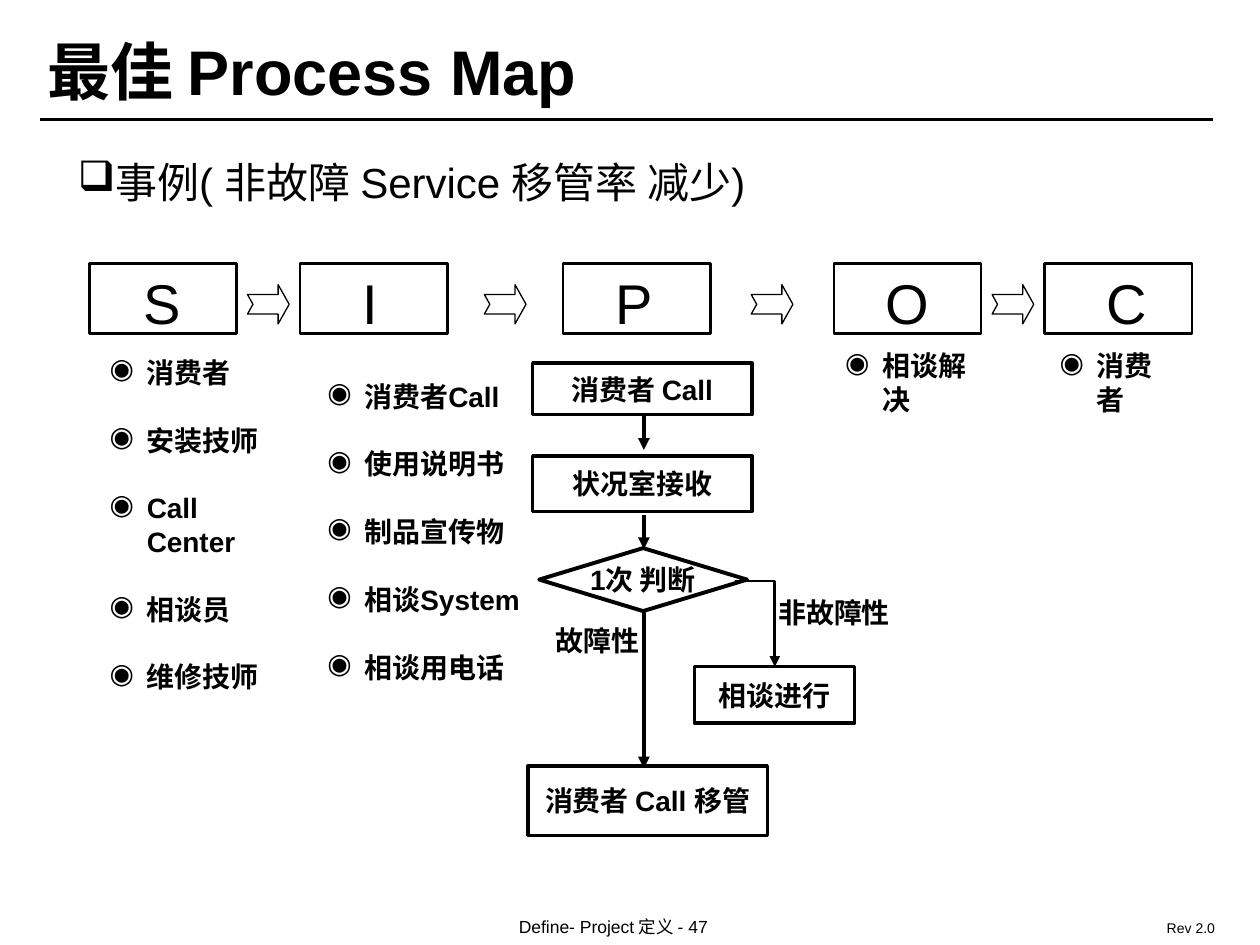
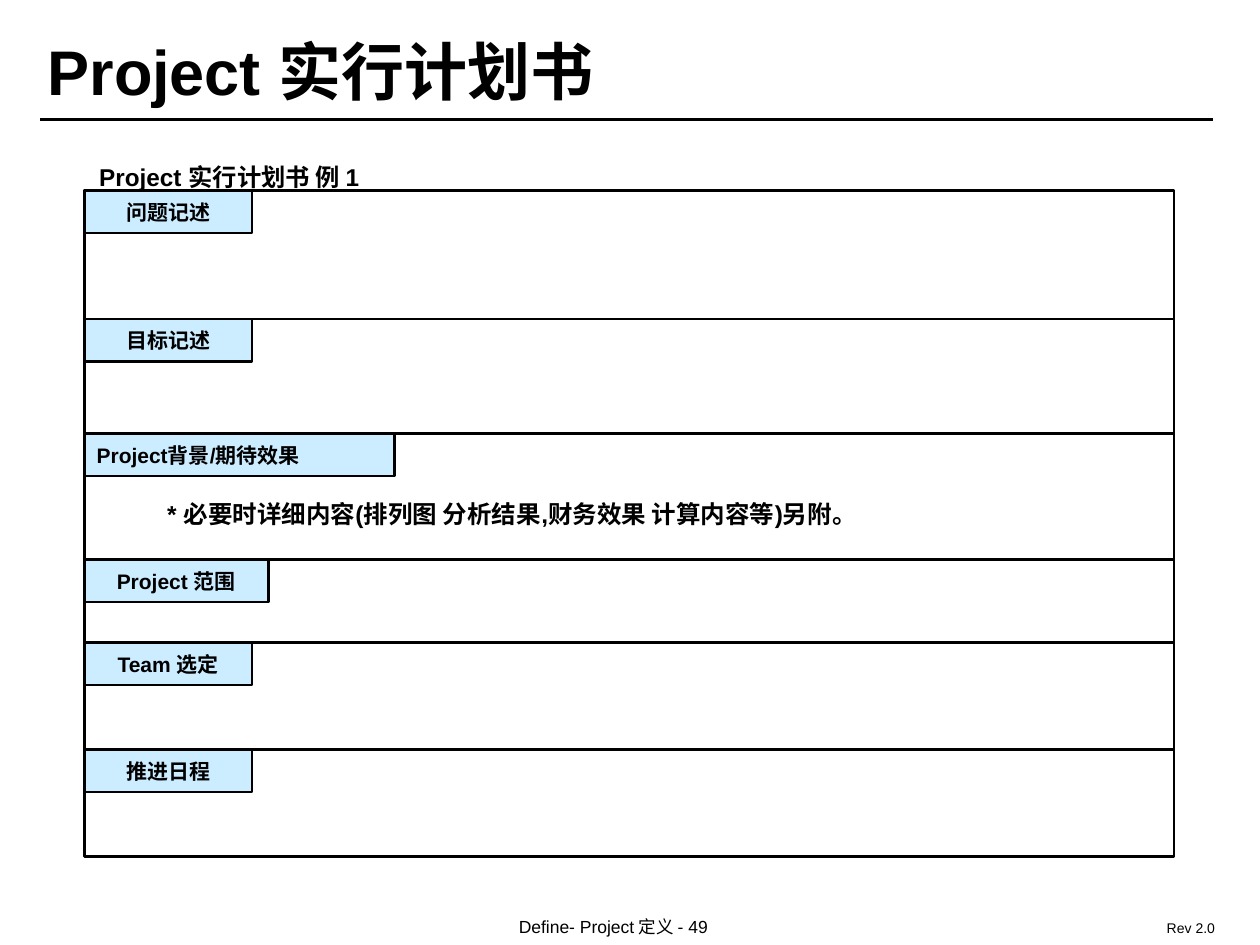
import pptx
import pptx.util
import pptx.dml.color
import pptx.enum.shapes
import pptx.enum.text
import pptx.oxml.ns
from lxml import etree

Cm = pptx.util.Cm
Pt = pptx.util.Pt
SHAPE = pptx.enum.shapes.MSO_SHAPE
ALIGN = pptx.enum.text.PP_ALIGN
ANCHOR = pptx.enum.text.MSO_ANCHOR

COLORS = {"ink": "000000", "paper": "FFFFFF", "label": "CCECFF"}
FONT = "Arial"
BULLET_INDENT = 0.75

MAP_TITLE = "最佳 Process Map"
MAP_HEADING = "事例( 非故障 Service 移管率 减少)"
STAGE_TOP, STAGE_WIDTH, STAGE_HEIGHT = 5.31, 2.97, 1.42
STAGES = [
    ("S", 1.8, 3.28),
    ("I", 6.05, 7.47),
    ("P", 11.35, 12.79),
    ("O", 16.81, 18.29),
    ("C", 21.06, 22.72),
]
STAGE_LISTS = [
    (1.96, 7.04, 3.84, ["消费者", "安装技师", "Call Center", "相谈员", "维修技师"]),
    (6.35, 7.52, 5, ["消费者Call", "使用说明书", "制品宣传物", "相谈System", "相谈用电话"]),
    (16.79, 6.91, 3.12, ["相谈解决"]),
    (21.11, 6.91, 2.57, ["消费者"]),
]
FLOW_STEPS = [
    ("消费者 Call", SHAPE.RECTANGLE, (10.74, 7.32, 4.42, 1.04), 2),
    ("状况室接收", SHAPE.RECTANGLE, (10.74, 9.19, 4.42, 1.12), 2),
    ("1次 判断", SHAPE.DIAMOND, (10.87, 11.05, 4.19, 1.27), 2.25),
    ("相谈进行", SHAPE.RECTANGLE, (14, 13.44, 3.23, 1.14), 2),
    ("消费者 Call 移管", SHAPE.RECTANGLE, (10.64, 15.44, 4.83, 1.4), 2),
]
FLOW_X = 12.98
FLOW_ARROWS = [(8.38, 9.07), (10.39, 11.07), (12.29, 15.49)]
BRANCH = [(14.81, 11.71), (15.62, 11.71), (15.62, 13.44)]
BRANCH_LABELS = [
    ("故障性", (10.95, 12.45, 2.36, 0.99)),
    ("非故障性", (15.44, 11.89, 2.9, 0.99)),
]

PLAN_TITLE = "Project 实行计划书"
PLAN_HEADING = "Project 实行计划书 例 1"
PLAN_NOTE = "* 必要时详细内容(排列图 分析结果,财务效果 计算内容等)另附。"
PLAN_LEFT, PLAN_WIDTH, PLAN_BOTTOM, LABEL_HEIGHT = 1.7, 21.97, 17.27, 0.86
PLAN_SECTIONS = [
    ("问题记述", 3.84, 3.38, ALIGN.CENTER),
    ("目标记述", 6.43, 3.38, ALIGN.CENTER),
    ("Project背景/期待效果", 8.74, 6.25, ALIGN.LEFT),
    ("Project 范围", 11.28, 3.71, ALIGN.CENTER),
    ("Team 选定", 12.95, 3.38, ALIGN.CENTER),
    ("推进日程", 15.11, 3.38, ALIGN.CENTER),
]


def color(name):
    return pptx.dml.color.RGBColor.from_string(COLORS[name])


def add_bullet(paragraph, character):
    properties = paragraph._p.get_or_add_pPr()
    properties.set("marL", str(Cm(BULLET_INDENT)))
    properties.set("indent", str(-Cm(BULLET_INDENT)))
    bullet = etree.SubElement(properties, pptx.oxml.ns.qn("a:buChar"))
    bullet.set("char", character)


def write(shape, lines, size, bold=False, align=ALIGN.LEFT, anchor=ANCHOR.TOP,
          wrap=True, bullet=None, gap=0):
    frame = shape.text_frame
    frame.word_wrap = wrap
    frame.vertical_anchor = anchor
    for index, line in enumerate(lines):
        paragraph = frame.add_paragraph() if index else frame.paragraphs[0]
        paragraph.text = line
        if bullet:
            add_bullet(paragraph, bullet)
        paragraph.alignment = align
        if index and gap:
            paragraph.space_before = Pt(gap)
        paragraph.font.name = FONT
        paragraph.font.size = Pt(size)
        paragraph.font.bold = bold
        paragraph.font.color.rgb = color("ink")


def add_text(slide, box, lines, size, **style):
    shape = slide.shapes.add_textbox(*map(Cm, box))
    write(shape, lines, size, **style)
    return shape


def outline(shape, width, fill=None):
    shape.shadow.inherit = False
    if fill:
        shape.fill.solid()
        shape.fill.fore_color.rgb = color(fill)
    else:
        shape.fill.background()
    shape.line.color.rgb = color("ink")
    shape.line.width = Pt(width)


def add_outlined(slide, kind, box, width, fill=None):
    shape = slide.shapes.add_shape(kind, *map(Cm, box))
    outline(shape, width, fill)
    return shape


def add_arrowhead(shape):
    tail = etree.SubElement(shape.line._get_or_add_ln(), pptx.oxml.ns.qn("a:tailEnd"))
    tail.set("type", "triangle")


def add_line(slide, start, end, width):
    line = slide.shapes.add_connector(
        pptx.enum.shapes.MSO_CONNECTOR.STRAIGHT, *map(Cm, start + end))
    line.line.color.rgb = color("ink")
    line.line.width = Pt(width)
    etree.SubElement(line._element.spPr, pptx.oxml.ns.qn("a:effectLst"))
    return line


def add_slide(presentation, title, number):
    slide = presentation.slides.add_slide(presentation.slide_layouts[6])
    add_text(slide, (10.21, 18.34, 5.8, 0.74), [f"Define- Project 定义 - {number}"], 10)
    add_text(slide, (23.27, 18.42, 2.06, 0.6), ["Rev 2.0"], 8)
    add_line(slide, (0.81, 2.41), (24.46, 2.41), 1.5)
    add_text(slide, (0.71, 0.5, 20, 1.82), [title], 36, bold=True, anchor=ANCHOR.MIDDLE)
    return slide


def add_stages(slide):
    for letter, left, center in STAGES:
        add_outlined(slide, SHAPE.RECTANGLE,
                     (left, STAGE_TOP, STAGE_WIDTH, STAGE_HEIGHT), 1.5, "paper")
        add_text(slide, (center - 0.8, 5.32, 1.6, 1.55), [letter], 32,
                 align=ALIGN.CENTER, anchor=ANCHOR.MIDDLE)
    for (_, left, _), (_, next_left, _) in zip(STAGES, STAGES[1:]):
        middle = (left + STAGE_WIDTH + next_left) / 2
        arrow = add_outlined(slide, SHAPE.NOTCHED_RIGHT_ARROW,
                             (middle - 0.42, 5.74, 0.84, 0.79), 0.75)
        arrow.adjustments[0] = 0.5
        arrow.adjustments[1] = 0.28
    for left, top, width, items in STAGE_LISTS:
        add_text(slide, (left, top, width, 1.4 * len(items)), items, 16,
                 bold=True, bullet="◉", gap=19.5)


def add_flow(slide):
    for start, end in FLOW_ARROWS:
        add_arrowhead(add_line(slide, (FLOW_X, start), (FLOW_X, end), 2.25))
    for text, kind, box, width in FLOW_STEPS:
        step = add_outlined(slide, kind, box, width, "paper")
        write(step, [text], 16, bold=True, align=ALIGN.CENTER,
              anchor=ANCHOR.MIDDLE, wrap=False)
    points = [(Cm(x), Cm(y)) for x, y in BRANCH]
    builder = slide.shapes.build_freeform(*points[0])
    builder.add_line_segments(points[1:], close=False)
    branch = builder.convert_to_shape()
    outline(branch, 1.5)
    add_arrowhead(branch)
    for text, box in BRANCH_LABELS:
        add_text(slide, box, [text], 16, bold=True)


def build_process_map(presentation):
    slide = add_slide(presentation, MAP_TITLE, 47)
    add_text(slide, (1.32, 2.97, 23.39, 1.37), [MAP_HEADING], 24,
             anchor=ANCHOR.MIDDLE, bullet="❑")
    add_stages(slide)
    add_flow(slide)


def build_project_plan(presentation):
    slide = add_slide(presentation, PLAN_TITLE, 49)
    heading = add_text(slide, (1.75, 2.51, 9.7, 1.83), [PLAN_HEADING], 24,
                       bold=True, anchor=ANCHOR.MIDDLE)
    paragraph = heading.text_frame.paragraphs[0]
    paragraph.line_spacing = 1.5
    paragraph.runs[0]._r.get_or_add_rPr().set("baseline", "30000")
    bottoms = [section[1] for section in PLAN_SECTIONS[1:]] + [PLAN_BOTTOM]
    for (text, top, label_width, align), bottom in zip(PLAN_SECTIONS, bottoms):
        add_outlined(slide, SHAPE.RECTANGLE,
                     (PLAN_LEFT, top, PLAN_WIDTH, bottom - top), 1.5)
        label = add_outlined(slide, SHAPE.RECTANGLE,
                             (PLAN_LEFT, top, label_width, LABEL_HEIGHT), 1.5, "label")
        write(label, [text], 12, bold=True, align=align, anchor=ANCHOR.MIDDLE)
    add_line(slide, (PLAN_LEFT, 11.2), (PLAN_LEFT, 12.06), 1.5)
    add_text(slide, (3.12, 9.93, 19.86, 0.91), [PLAN_NOTE], 14, bold=True)


def main():
    presentation = pptx.Presentation()
    presentation.slide_width = Cm(25.4)
    presentation.slide_height = Cm(19.05)
    build_process_map(presentation)
    build_project_plan(presentation)
    presentation.save("out.pptx")


if __name__ == "__main__":
    main()
